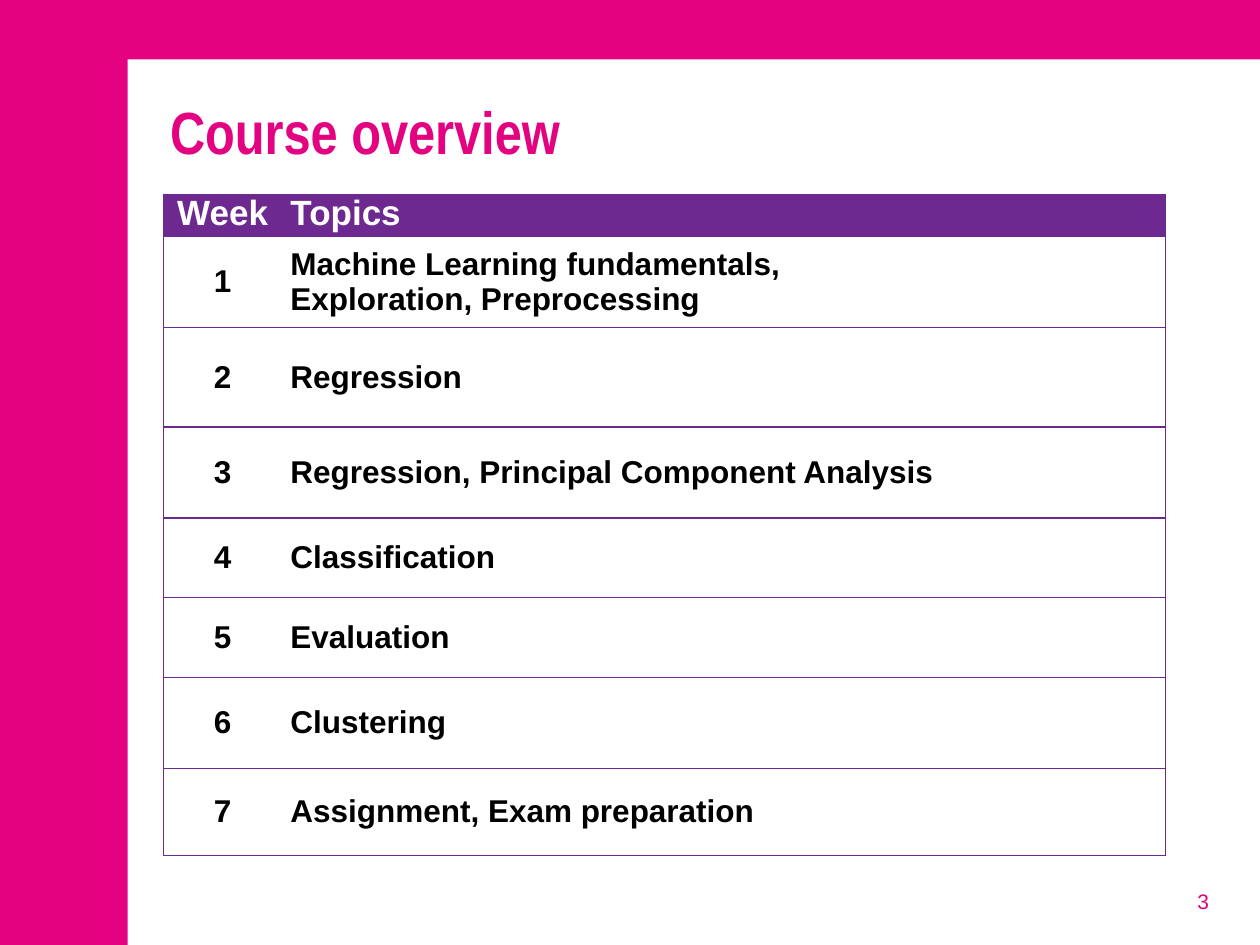
from lxml.etree import SubElement
from pptx import Presentation
from pptx.dml.color import RGBColor
from pptx.enum.shapes import MSO_SHAPE
from pptx.enum.text import MSO_ANCHOR, MSO_AUTO_SIZE, PP_ALIGN
from pptx.oxml.ns import qn
from pptx.util import Pt

TITLE = "Course overview"
PAGE_NUMBER = "3"
HEADER = ("Week", "Topics")
TOPICS = [
    "Machine Learning fundamentals, \vExploration, Preprocessing",
    "Regression",
    "Regression, Principal Component Analysis",
    "Classification",
    "Evaluation",
    "Clustering",
    "Assignment, Exam preparation",
]

THEME = {
    "magenta": RGBColor.from_string("E3027F"),
    "purple": RGBColor.from_string("6D2990"),
    "white": RGBColor.from_string("FFFFFF"),
    "black": RGBColor.from_string("000000"),
    "title": {"name": "Arial Narrow", "size": Pt(34), "bold": True},
    "header": {"name": "Arial", "size": Pt(20), "bold": True},
    "body": {"name": "Arial", "size": Pt(18), "bold": True},
    "number": {"name": "Arial", "size": Pt(12), "bold": False},
}

SLIDE_SIZE = (720, 540)
PANEL_CORNER = (73, 34)
TITLE_BOX = (90, 50.5, 608, 96.5)
NUMBER_BOX = (530, 500.5, 168, 29)
TABLE_CORNER = (93.5, 111)
COLUMN_WIDTHS = (67.5, 505)
ROW_HEIGHTS = (21, 52, 57, 52, 45.5, 45.5, 52, 50)
CELL_INSET = 5
BORDER_WIDTH = 0.75


def write_text(text_frame, text, style, color, alignment):
    text_frame.text = text
    paragraph = text_frame.paragraphs[0]
    paragraph.alignment = alignment
    for run in paragraph.runs:
        for name, value in THEME[style].items():
            setattr(run.font, name, value)
        run.font.color.rgb = THEME[color]


def set_borders(cell, visible_sides):
    properties = cell._tc.get_or_add_tcPr()
    for side in ("L", "R", "T", "B"):
        line = SubElement(properties, qn(f"a:ln{side}"), w=str(Pt(BORDER_WIDTH)))
        if side in visible_sides:
            fill = SubElement(line, qn("a:solidFill"))
            SubElement(fill, qn("a:srgbClr"), val=str(THEME["purple"]))
        else:
            SubElement(line, qn("a:noFill"))


def add_panel(slide):
    left, top = PANEL_CORNER
    box = (left, top, SLIDE_SIZE[0] - left, SLIDE_SIZE[1] - top)
    panel = slide.shapes.add_shape(MSO_SHAPE.RECTANGLE, *map(Pt, box))
    panel.shadow.inherit = False
    panel.fill.solid()
    panel.fill.fore_color.rgb = THEME["white"]
    panel.line.fill.background()
    slide.shapes._spTree.insert(2, panel._element)


def add_title(slide):
    title = slide.shapes.title
    for name, value in zip(("left", "top", "width", "height"), TITLE_BOX):
        setattr(title, name, Pt(value))
    write_text(title.text_frame, TITLE, "title", "magenta", PP_ALIGN.LEFT)
    title.text_frame.vertical_anchor = MSO_ANCHOR.TOP
    title.text_frame.auto_size = MSO_AUTO_SIZE.NONE


def add_schedule(slide):
    rows = [HEADER] + [(str(week), topic) for week, topic in enumerate(TOPICS, 1)]
    size = (sum(COLUMN_WIDTHS), sum(ROW_HEIGHTS))
    frame = slide.shapes.add_table(
        len(rows), len(HEADER), *map(Pt, TABLE_CORNER + size))
    table = frame.table
    for column, width in zip(table.columns, COLUMN_WIDTHS):
        column.width = Pt(width)
    cell_format = {
        "margin_left": Pt(CELL_INSET), "margin_right": Pt(CELL_INSET),
        "margin_top": 0, "margin_bottom": 0,
    }
    for row_index, (row, height) in enumerate(zip(rows, ROW_HEIGHTS)):
        table.rows[row_index].height = Pt(height)
        is_header = row_index == 0
        style, color, fill, anchor = (
            ("header", "white", "purple", MSO_ANCHOR.TOP) if is_header
            else ("body", "black", "white", MSO_ANCHOR.MIDDLE))
        for column_index, text in enumerate(row):
            cell = table.cell(row_index, column_index)
            for name, value in cell_format.items():
                setattr(cell, name, value)
            cell.vertical_anchor = anchor
            set_borders(cell, "LTB" if column_index == 0 else "RTB")
            cell.fill.solid()
            cell.fill.fore_color.rgb = THEME[fill]
            alignment = PP_ALIGN.CENTER if column_index == 0 else PP_ALIGN.LEFT
            write_text(cell.text_frame, text, style, color, alignment)


def add_page_number(slide):
    text_frame = slide.shapes.add_textbox(*map(Pt, NUMBER_BOX)).text_frame
    text_frame.word_wrap = True
    text_frame.vertical_anchor = MSO_ANCHOR.MIDDLE
    write_text(text_frame, PAGE_NUMBER, "number", "magenta", PP_ALIGN.RIGHT)


def main():
    presentation = Presentation()
    presentation.slide_width, presentation.slide_height = map(Pt, SLIDE_SIZE)
    slide = presentation.slides.add_slide(presentation.slide_layouts[5])
    slide.background.fill.solid()
    slide.background.fill.fore_color.rgb = THEME["magenta"]
    add_panel(slide)
    add_title(slide)
    add_page_number(slide)
    add_schedule(slide)
    presentation.save("out.pptx")


if __name__ == "__main__":
    main()
